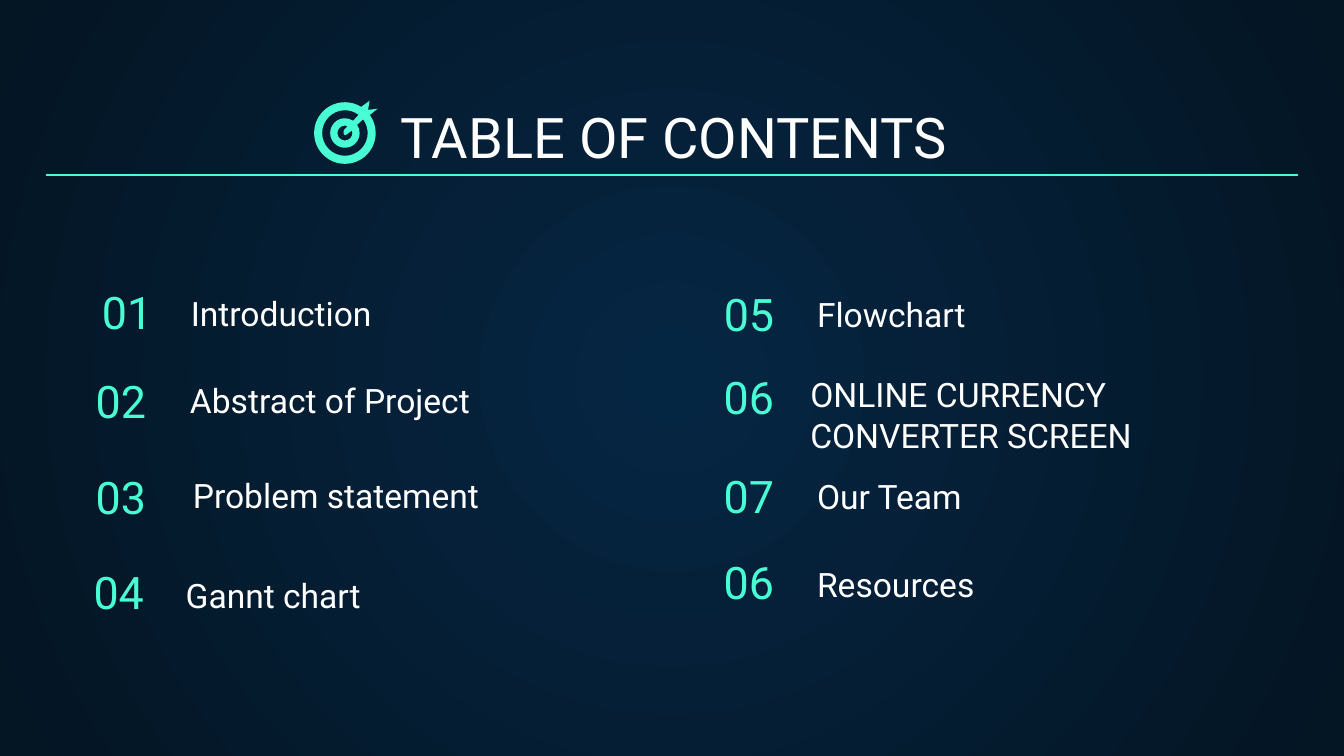
"""Build a table of contents slide with a target icon and two numbered columns."""
from itertools import chain
from math import ceil, cos, floor, radians, sin, tan

from lxml import etree
from pptx import Presentation
from pptx.dml.color import RGBColor
from pptx.enum.shapes import MSO_CONNECTOR
from pptx.enum.text import MSO_ANCHOR, MSO_AUTO_SIZE, PP_ALIGN
from pptx.oxml.ns import qn
from pptx.util import Pt

WHITE = RGBColor(0xFF, 0xFF, 0xFF)
MINT = RGBColor(0x48, 0xFF, 0xD5)
NAVY = RGBColor(0x05, 0x26, 0x43)
NIGHT = RGBColor(0x04, 0x15, 0x23)
FONT = "Roboto"
LEFT, RIGHT = PP_ALIGN.LEFT, PP_ALIGN.RIGHT

TITLE = ("TABLE OF CONTENTS", (25.6, 50.4, 671, 47.5))
NUMBERS = [
    ("01", (47.5, 140.8, 57.6, 47.5), LEFT),
    ("02", (44.2, 192.2, 56.2, 43.9), LEFT),
    ("03", (44.2, 240.2, 56.2, 47.5), LEFT),
    ("04", (28, 290.9, 56.2, 47.5), RIGHT),
    ("05", (372.8, 142.2, 49, 47.5), RIGHT),
    ("06", (328.8, 186.5, 93, 47.5), RIGHT),
    ("07", (328.8, 239.4, 93, 47.5), RIGHT),
    ("06", (328.8, 267.8, 93, 65.5), RIGHT),
]
LABELS = [
    ("Introduction", (81.6, 146.2, 124.6, 39.6), RIGHT),
    ("Abstract of Project", (83.9, 201.6, 175, 31), RIGHT),
    ("Problem statement", (81.6, 253.1, 182.2, 30.2), RIGHT),
    ("Gannt chart", (92.4, 304.6, 160.6, 32.4), LEFT),
    ("Flowchart", (430.6, 158.4, 212.4, 28.1), LEFT),
    ("ONLINE CURRENCY CONVERTER SCREEN", (427, 214.9, 255.6, 36), LEFT),
    ("Our Team", (430.6, 255.6, 212.4, 28.1), LEFT),
    ("Resources", (430.6, 302.8, 212.4, 28.1), LEFT),
]
RULE = (24.5, 93.8, 695.5)
ICON_CENTER = (184.8, 71.3)


def polar(radius, angle):
    return radius * cos(radians(angle)), radius * sin(radians(angle))


def arc(radius, start, end):
    """Return a start point and cubic curves, split at the quarter turns."""
    low, high = sorted((start, end))
    quarters = [90 * i for i in range(floor(low / 90) + 1, ceil(high / 90))]
    stops = sorted([low, *quarters, high], reverse=end < start)
    segments = [(polar(radius, start),)]
    for a, b in zip(stops, stops[1:]):
        k = 4 / 3 * tan(radians(b - a) / 4)
        (x1, y1), (x2, y2) = polar(radius, a), polar(radius, b)
        segments.append(((x1 - k * y1, y1 + k * x1), (x2 + k * y2, y2 - k * x2), (x2, y2)))
    return segments


def lines(*points):
    return [(point,) for point in points]


TARGET = [
    arc(16.5, -36, 302) + lines((13.2, -17.3), (12.4, -12.4), (17.5, -13)),
    arc(12.2, -37, 307) + arc(7.9, 304, -34),
    arc(4, -20, 292) + lines((-0.6, -1.6), (-0.7, 0.5), (0, 1.2), (1.2, 0.6)),
]


def write(sp, text, box, size, color, align):
    sp.left, sp.top, sp.width, sp.height = map(Pt, box)
    tf = sp.text_frame
    tf.word_wrap = True
    tf.auto_size = MSO_AUTO_SIZE.NONE
    tf.vertical_anchor = MSO_ANCHOR.BOTTOM
    tf.margin_left = tf.margin_right = tf.margin_top = tf.margin_bottom = Pt(7.2)
    p = tf.paragraphs[0]
    p.alignment = align
    r = p.add_run()
    r.text = text
    r.font.name, r.font.size, r.font.color.rgb = FONT, Pt(size), color


def paint_background(s):
    fill = s.background.fill
    fill.gradient()
    for stop, color in zip(fill.gradient_stops, (NAVY, NIGHT)):
        stop.color.rgb = color
    grad = s.background.fill._fill._gradFill
    grad.remove(grad.find(qn("a:lin")))
    shade = etree.SubElement(grad, qn("a:path"), {"path": "circle"})
    etree.SubElement(shade, qn("a:fillToRect"), dict.fromkeys("ltrb", "50000"))


def curve_segments(sp, contours):
    """Join each three points of a cubic segment into one curve."""
    nodes = iter(list(sp._element.iter(qn("a:lnTo"))))
    for segment in chain.from_iterable(contour[1:] for contour in contours):
        first, *others = [next(nodes) for _ in segment]
        if others:
            first.tag = qn("a:cubicBezTo")
        for node in others:
            first.append(node[0])
            node.getparent().remove(node)


def draw_target(s):
    cx, cy = ICON_CENTER
    builder = None
    for contour in TARGET:
        start, *points = [(Pt(cx + x), Pt(cy + y)) for x, y in chain(*contour)]
        if builder is None:
            builder = s.shapes.build_freeform(*start)
        else:
            builder.move_to(*start)
        builder.add_line_segments(points)
    sp = builder.convert_to_shape()
    curve_segments(sp, TARGET)
    sp.shadow.inherit = False
    sp.fill.solid()
    sp.fill.fore_color.rgb = MINT
    sp.line.fill.background()


def draw_rule(s):
    x1, y, x2 = map(Pt, RULE)
    line = s.shapes.add_connector(MSO_CONNECTOR.STRAIGHT, x1, y, x2, y)
    line.line.color.rgb, line.line.width = MINT, Pt(0.75)
    etree.SubElement(line._element.spPr, qn("a:effectLst"))


def main():
    prs = Presentation()
    prs.slide_width, prs.slide_height = Pt(720), Pt(405)
    s = prs.slides.add_slide(prs.slide_layouts[5])
    paint_background(s)
    write(s.shapes.title, *TITLE, size=30, color=WHITE, align=PP_ALIGN.CENTER)
    for items, size, color in ((NUMBERS, 24, MINT), (LABELS, 18, WHITE)):
        for text, box, align in items:
            sp = s.shapes.add_textbox(*map(Pt, box))
            write(sp, text, box, size=size, color=color, align=align)
    draw_target(s)
    draw_rule(s)
    prs.save("out.pptx")


if __name__ == "__main__":
    main()
